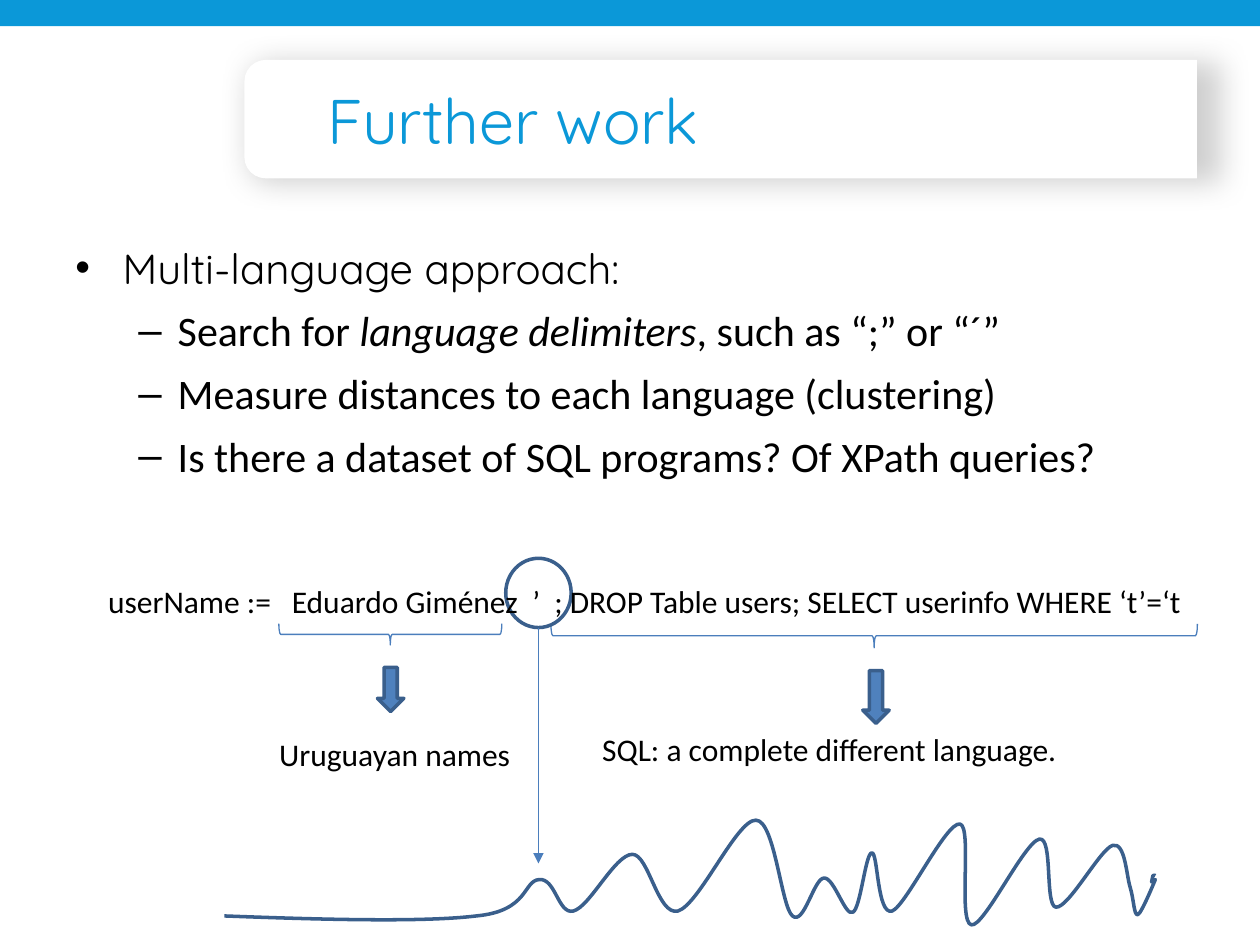
import pptx
import pptx.util
import pptx.dml.color
import pptx.enum.shapes
import pptx.enum.text
import pptx.oxml
import pptx.oxml.ns

Pt = pptx.util.Pt
SHAPE = pptx.enum.shapes.MSO_SHAPE
ALIGN = pptx.enum.text.PP_ALIGN
NS = pptx.oxml.ns.nsdecls("a")

BLACK, WHITE, SKY = "000000", "FFFFFF", "0B98D8"
BLUE, NAVY, THIN_BLUE = "4F81BD", "3A5F8C", "4B7EBC"


def color(value):
    return pptx.dml.color.RGBColor.from_string(value)


def add_text(paragraph, text, size=18, font="Calibri", fill=BLACK, italic=False):
    run = paragraph.add_run()
    run.text = text
    run.font.size = Pt(size)
    run.font.name = font
    run.font.color.rgb = color(fill)
    run.font.italic = italic


prs = pptx.Presentation()
prs.slide_width, prs.slide_height = Pt(720), Pt(540)
slide = prs.slides.add_slide(prs.slide_layouts[6])
shapes = slide.shapes

# Title panel, top bar, braces, block arrows and delimiter circle:
# preset, frame, rotation, fill, line, line width
outlines = [
    (SHAPE.ROUND_2_SAME_RECTANGLE, (378, -204.1, 67.7, 544.3), 270, WHITE, None, 0),
    (SHAPE.RECTANGLE, (0, 0, 720.7, 15), 0, SKY, None, 0),
    (SHAPE.LEFT_BRACE, (217, 298.8, 12.2, 127.4), 270, None, THIN_BLUE, 0.75),
    (SHAPE.LEFT_BRACE, (492.7, 178.6, 13.7, 369.4), 270, None, THIN_BLUE, 0.75),
    (SHAPE.DOWN_ARROW, (215.7, 381.4, 15.1, 25.2), 0, BLUE, NAVY, 2),
    (SHAPE.DOWN_ARROW, (493, 383.2, 15.1, 30.2), 0, BLUE, NAVY, 2),
    (SHAPE.OVAL, (289, 319, 37.4, 39.6), 0, None, NAVY, 2),
]
for preset, frame, rotation, fill, line, width in outlines:
    part = shapes.add_shape(preset, *map(Pt, frame))
    part.rotation = rotation
    part.shadow.inherit = False
    if fill:
        part.fill.solid()
        part.fill.fore_color.rgb = color(fill)
    else:
        part.fill.background()
    if line:
        part.line.color.rgb = color(line)
        part.line.width = Pt(width)
    else:
        part.line.fill.background()
    if preset == SHAPE.ROUND_2_SAME_RECTANGLE:
        part.adjustments[0] = 0.18
        effects = part._element.spPr.find(pptx.oxml.ns.qn("a:effectLst"))
        effects.append(pptx.oxml.parse_xml(
            f'<a:outerShdw {NS} blurRad="{Pt(17)}" dist="{Pt(3)}" dir="2700000" '
            'sx="102000" sy="102000" algn="tl" rotWithShape="0">'
            '<a:srgbClr val="000000"><a:alpha val="19000"/></a:srgbClr></a:outerShdw>'))

# Title, injected string and the two captions
GAP = "\t"
injection = GAP.join(["userName :=", "Eduardo Giménez", "’",
                      "; DROP Table users; SELECT userinfo WHERE ‘t’=‘t"])
labels = [
    ("Further work", (180, 34.1, 504, 67.7), ALIGN.LEFT,
     dict(size=36, font="Quicksand", fill=SKY)),
    (injection, (54.7, 329, 635.8, 28.8), ALIGN.LEFT, {}),
    ("Uruguayan names", (140.3, 416.5, 170.6, 24), ALIGN.CENTER, {}),
    ("SQL: a complete different language.", (337, 413.6, 337, 22), ALIGN.LEFT, {}),
]
for text, frame, alignment, style in labels:
    label = shapes.add_textbox(*map(Pt, frame)).text_frame
    label.word_wrap = True
    if style:
        label.vertical_anchor = pptx.enum.text.MSO_ANCHOR.MIDDLE
    paragraph = label.paragraphs[0]
    paragraph.alignment = alignment
    if GAP in text:
        stops = "".join(f'<a:tab pos="{Pt(stop)}" algn="l"/>' for stop in (105, 242.4, 255))
        paragraph._p.get_or_add_pPr().append(
            pptx.oxml.parse_xml(f"<a:tabLst {NS}>{stops}</a:tabLst>"))
    add_text(paragraph, text, **style)

# Bulleted plan: level, runs as (text, italic)
plan = [
    (0, [("Multi-language approach:", False)]),
    (1, [("Search for ", False), ("language delimiters", True),
         (", such as “;” or “´”", False)]),
    (1, [("Measure distances to each language (clustering)", False)]),
    (1, [("Is there a dataset of SQL programs? Of XPath queries?", False)]),
]
body = shapes.add_textbox(Pt(36), Pt(135.6), Pt(648), Pt(196.6)).text_frame
body.word_wrap = True
for index, (level, runs) in enumerate(plan):
    paragraph = body.add_paragraph() if index else body.paragraphs[0]
    bullet, margin, hang, leading, font = [
        ("•", 27, 27, 28, "Quicksand"), ("–", 58.5, 22.5, 25, "Calibri")][level]
    paragraph.level = level
    paragraph.line_spacing = Pt(leading)
    paragraph.space_before = Pt(4.8 if index else 0)
    paragraph.space_after = Pt(6)
    props = paragraph._p.get_or_add_pPr()
    props.set("marL", str(Pt(margin)))
    props.set("indent", str(-Pt(hang)))
    props.append(pptx.oxml.parse_xml(f'<a:buFont {NS} typeface="Arial"/>'))
    props.append(pptx.oxml.parse_xml(f'<a:buChar {NS} char="{bullet}"/>'))
    for text, italic in runs:
        add_text(paragraph, text, size=24, font=font, italic=italic)

# Distance curve: each row holds two control points and the end of one arc
start = (128.2, 523.4)
arcs = [
    (185.8, 525.6, 242.6, 527, 272.2, 523.4),
    (302.4, 520.6, 298.8, 503.3, 308.2, 502.6),
    (317.5, 501.8, 319, 522.7, 327.6, 520.6),
    (337, 518.4, 351.4, 488.2, 361.4, 488.2),
    (370.8, 488.2, 375.8, 523.4, 387.4, 520.6),
    (399.6, 517, 421.2, 468, 432, 468.7),
    (442.8, 468.7, 446.4, 518.4, 452.9, 523.4),
    (459.4, 529.2, 465.1, 501.8, 470.9, 501.8),
    (476.6, 501.1, 483.1, 524.2, 487.4, 521.3),
    (491.8, 519.1, 494.6, 487.4, 498.2, 487.4),
    (501.8, 486.7, 501.1, 523.4, 509.8, 520.6),
    (517.7, 517.7, 540.7, 469.4, 548.6, 470.9),
    (555.8, 472.3, 547.2, 527, 555.1, 528.5),
    (562.3, 529.9, 585.4, 481, 594, 479.5),
    (601.9, 478.1, 596.9, 517.7, 603.4, 518.4),
    (610.6, 519.1, 628.6, 485.3, 635.8, 483.1),
    (643, 481, 643.7, 500.4, 645.8, 506.9),
    (648, 514.1, 648, 523.4, 650.2, 522.7),
    (652.3, 522, 660.2, 502.6, 660.2, 502.6),
    (659.5, 503.3, 658.1, 504, 658.1, 504),
    (658.1, 503.3, 658.8, 501.1, 658.8, 500.4),
    (659.5, 499.7, 660.2, 500.4, 660.2, 500.4),
]
builder = shapes.build_freeform(*map(Pt, start))
builder.add_line_segments([(Pt(arc[4]), Pt(arc[5])) for arc in arcs], close=False)
distance = builder.convert_to_shape()
distance.shadow.inherit = False
distance.fill.background()
distance.line.color.rgb = color(NAVY)
distance.line.width = Pt(2)

# Turn each straight segment into its arc
segments = list(distance._element.iter(pptx.oxml.ns.qn("a:lnTo")))
for segment, arc in zip(segments, arcs):
    knots = "".join(
        f'<a:pt x="{Pt(x) - distance.left}" y="{Pt(y) - distance.top}"/>'
        for x, y in zip(arc[::2], arc[1::2]))
    segment.getparent().replace(segment, pptx.oxml.parse_xml(
        f"<a:cubicBezTo {NS}>{knots}</a:cubicBezTo>"))

# Arrow from the delimiter to its place on the curve
pointer = shapes.add_connector(pptx.enum.shapes.MSO_CONNECTOR.STRAIGHT,
                               Pt(307.7), Pt(358.6), Pt(307.7), Pt(493.4))
pointer.line.color.rgb = color(THIN_BLUE)
pointer.line.width = Pt(0.75)
pointer.line._get_or_add_ln().append(
    pptx.oxml.parse_xml(f'<a:tailEnd {NS} type="triangle"/>'))
pointer._element.spPr.append(pptx.oxml.parse_xml(f"<a:effectLst {NS}/>"))

prs.save("out.pptx")
